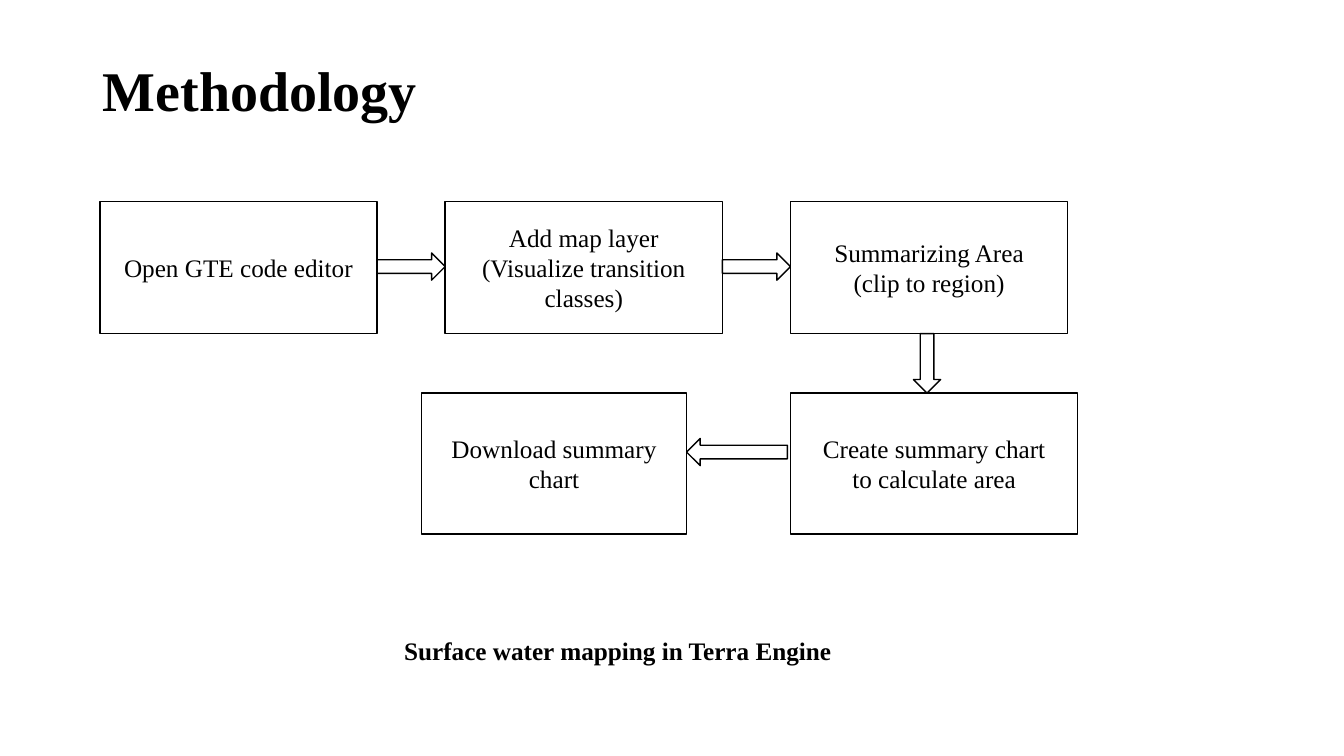
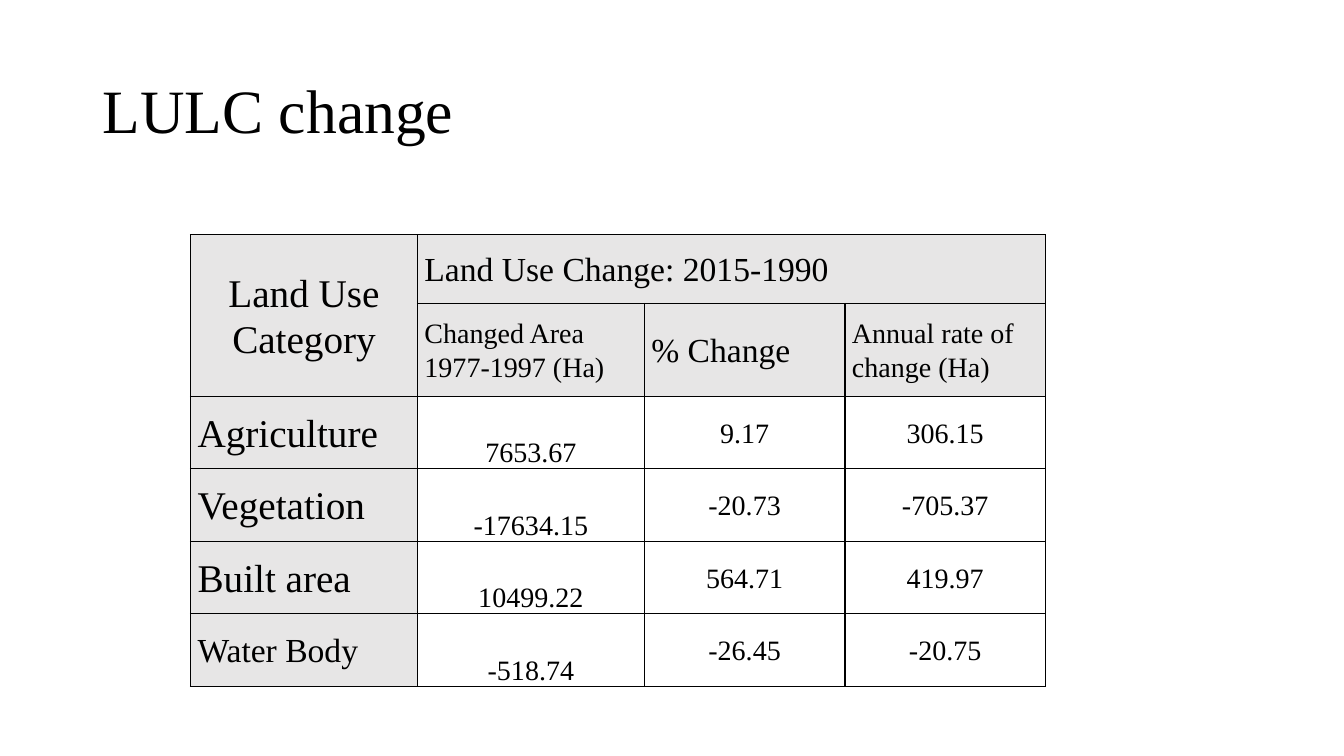
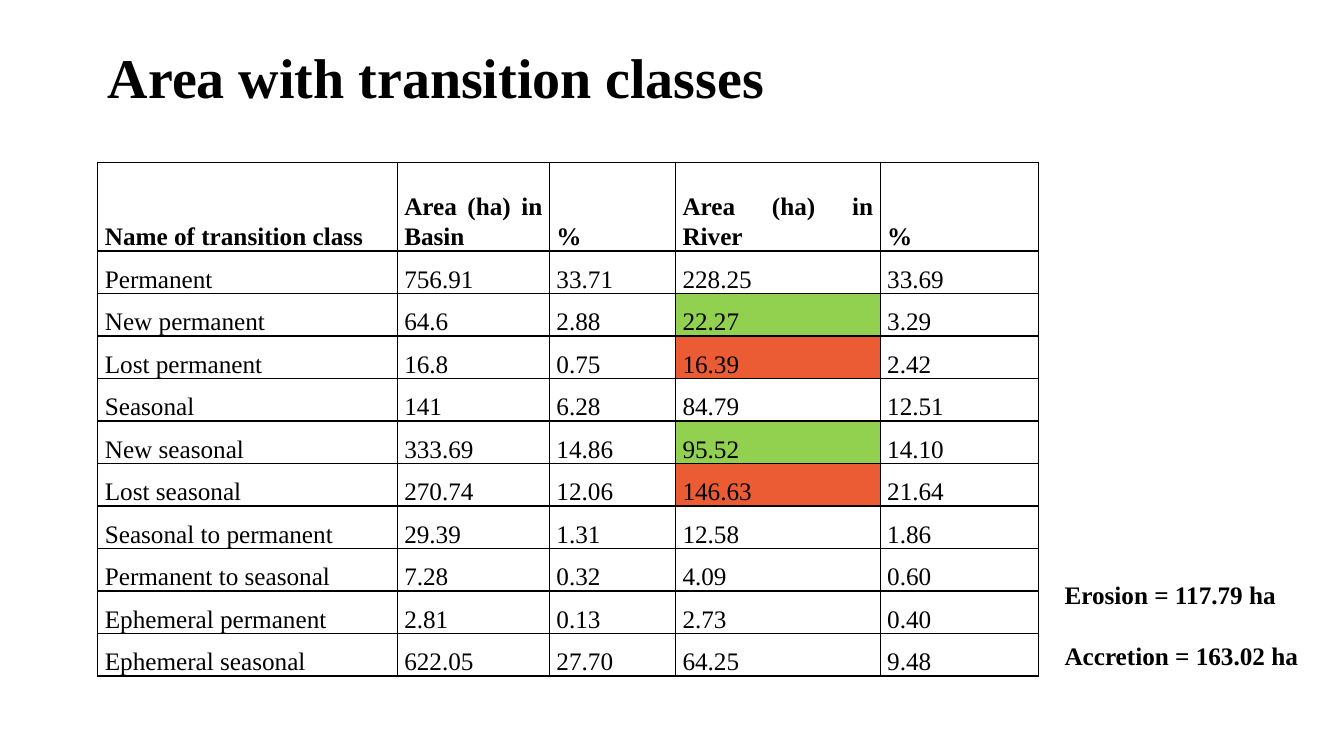
import pptx
import pptx.dml.color
import pptx.enum.shapes
import pptx.enum.text
import pptx.oxml
import pptx.oxml.ns
import pptx.util

PX = 9144
FONT = "Times New Roman"
BLACK, WHITE, GREY = "000000", "FFFFFF", "E7E6E6"
GREEN, ORANGE = "92D050", "EB5C35"
ALIGN = pptx.enum.text.PP_ALIGN
ANCHOR = pptx.enum.text.MSO_ANCHOR
SHAPE = pptx.enum.shapes.MSO_SHAPE
ARROW_WIDTH = 27


def px(*lengths):
    """Turn pixel lengths into EMU."""
    return [pptx.util.Emu(round(length * PX)) for length in lengths]


def color(hex_value):
    """Turn a hex string into a colour."""
    return pptx.dml.color.RGBColor.from_string(hex_value)


def set_values(target, values):
    """Set attributes of an object from a dict."""
    for name, value in values.items():
        setattr(target, name, value)


def write(frame, lines, size, bold=False, **para_values):
    """Fill a text frame with one paragraph per line."""
    for index, line in enumerate(lines):
        para = frame.paragraphs[0] if index == 0 else frame.add_paragraph()
        set_values(para, para_values)
        if index == 0:
            para.space_before = pptx.util.Pt(0)
        span = para.add_run()
        span.text = line
        set_values(span.font, {"name": FONT, "size": pptx.util.Pt(size), "bold": bold})
        span.font.color.rgb = color(BLACK)


def add_page(deck, title, bounds, size, bold):
    """Add a title-only page with its title in place."""
    page = deck.slides.add_slide(deck.slide_layouts[5])
    holder = page.shapes.title
    set_values(holder, dict(zip(("left", "top", "width", "height"), px(*bounds))))
    set_values(holder.text_frame, {
        "word_wrap": True,
        "vertical_anchor": ANCHOR.MIDDLE,
        "auto_size": pptx.enum.text.MSO_AUTO_SIZE.NONE,
    })
    write(holder.text_frame, [title], size, bold, alignment=ALIGN.LEFT, line_spacing=0.9)
    return page


def add_note(page, bounds, lines, gap=0):
    """Add a bold text box."""
    box = page.shapes.add_textbox(*px(*bounds))
    box.text_frame.word_wrap = True
    write(box.text_frame, lines, 18, True, space_before=pptx.util.Pt(gap))


def add_outlined(page, kind, bounds):
    """Add a white shape with a thin black outline."""
    shape = page.shapes.add_shape(kind, *px(*bounds))
    shape.shadow.inherit = False
    shape.fill.solid()
    shape.fill.fore_color.rgb = color(WHITE)
    shape.line.color.rgb = color(BLACK)
    shape.line.width = pptx.util.Pt(1)
    return shape


def add_step(page, bounds, lines):
    """Add a flowchart step with centred text."""
    frame = add_outlined(page, SHAPE.RECTANGLE, bounds).text_frame
    set_values(frame, {"word_wrap": True, "vertical_anchor": ANCHOR.MIDDLE})
    write(frame, lines, 18, alignment=ALIGN.CENTER)


def add_borders(cell):
    """Draw a thin black line on each side of a cell."""
    properties = cell._tc.get_or_add_tcPr()
    for side in "LRTB":
        properties.append(pptx.oxml.parse_xml(
            f'<a:ln{side} {pptx.oxml.ns.nsdecls("a")} w="12700"><a:solidFill>'
            f'<a:srgbClr val="{BLACK}"/></a:solidFill></a:ln{side}>'))


def add_grid(page, left, top, widths, heights, fill_of):
    """Add a bordered table whose cell fills follow a rule."""
    frame = page.shapes.add_table(
        len(heights), len(widths), *px(left, top, sum(widths), sum(heights)))
    table = frame.table
    set_values(table, {"first_row": False, "horz_banding": False})
    for column, width in zip(table.columns, px(*widths)):
        column.width = width
    for row, height in zip(table.rows, px(*heights)):
        row.height = height
    margins = dict(zip(("margin_left", "margin_top", "margin_right", "margin_bottom"),
                       px(7, 0, 7, 0)))
    for r in range(len(heights)):
        for c in range(len(widths)):
            cell = table.cell(r, c)
            set_values(cell, margins)
            add_borders(cell)
            fill = fill_of(r, c)
            if fill:
                cell.fill.solid()
                cell.fill.fore_color.rgb = color(fill)
            else:
                cell.fill.background()
    return table


def write_cell(cell, text, size, align, anchor, bold=False):
    """Write one table cell."""
    cell.vertical_anchor = anchor
    write(cell.text_frame, [text], size, bold, alignment=align, line_spacing=1.07)


def build_methodology(deck):
    """Build the flowchart page."""
    page = add_page(deck, "Methodology", (92, 40, 1150, 106), 40, True)
    add_note(page, (391, 625, 490, 40), ["Surface water mapping in Terra Engine"])
    first, width, pitch, top, height = 99, 275, 342.5, 200, 131
    upper_steps = [
        ["Open GTE code editor"],
        ["Add map layer", "(Visualize transition classes)"],
        ["Summarizing Area", "(clip to region)"],
    ]
    for index, lines in enumerate(upper_steps):
        left = first + index * pitch
        add_step(page, (left, top, width, height), lines)
        if index:
            add_outlined(page, SHAPE.RIGHT_ARROW,
                         (left - pitch + width, 251, pitch - width, ARROW_WIDTH))
    lower_top, lower_height = 390, 140
    add_step(page, (784, lower_top, 285, lower_height),
             ["Create summary chart", "to calculate area"])
    add_step(page, (418, lower_top, 263, lower_height), ["Download summary chart"])
    bottom = top + height
    add_outlined(page, SHAPE.DOWN_ARROW, (906, bottom, ARROW_WIDTH, lower_top - bottom))
    add_outlined(page, SHAPE.LEFT_ARROW, (681, 435, 100, ARROW_WIDTH))


def build_land_use(deck):
    """Build the land use change page."""
    page = add_page(deck, "LULC change", (92, 40, 1150, 145), 44, False)
    table = add_grid(page, 189, 233, [225, 225, 199, 199], [68, 92] + [72] * 4,
                     lambda r, c: GREY if r < 2 or c == 0 else None)
    table.cell(0, 0).merge(table.cell(1, 0))
    table.cell(0, 1).merge(table.cell(0, 3))
    headings = [
        (0, 0, "Land Use Category", 28, ALIGN.CENTER),
        (0, 1, "Land Use Change: 2015-1990", 24, ALIGN.JUSTIFY),
        (1, 1, "Changed Area 1977-1997 (Ha)", 20, ALIGN.LEFT),
        (1, 2, "% Change", 24, ALIGN.LEFT),
        (1, 3, "Annual rate of change (Ha)", 20, ALIGN.LEFT),
    ]
    for r, c, text, size, align in headings:
        write_cell(table.cell(r, c), text, size, align, ANCHOR.MIDDLE)
    changes = [
        ("Agriculture", 28, "7653.67", "9.17", "306.15"),
        ("Vegetation", 28, "-17634.15", "-20.73", "-705.37"),
        ("Built area", 28, "10499.22", "564.71", "419.97"),
        ("Water Body", 24, "-518.74", "-26.45", "-20.75"),
    ]
    for r, (category, size, *values) in enumerate(changes, 2):
        write_cell(table.cell(r, 0), category, size, ALIGN.JUSTIFY, ANCHOR.MIDDLE)
        for c, value in enumerate(values, 1):
            anchor = ANCHOR.BOTTOM if c == 1 else ANCHOR.MIDDLE
            write_cell(table.cell(r, c), value, 20, ALIGN.CENTER, anchor)


def build_transitions(deck):
    """Build the transition classes page."""
    page = add_page(deck, "Area with transition classes", (97, 40, 1145, 79), 40, True)
    rows = [
        ("Name of transition class", "Area (ha) in Basin", "%", "Area (ha) in River", "%"),
        ("Permanent", "756.91", "33.71", "228.25", "33.69"),
        ("New permanent", "64.6", "2.88", "22.27", "3.29"),
        ("Lost permanent", "16.8", "0.75", "16.39", "2.42"),
        ("Seasonal", "141", "6.28", "84.79", "12.51"),
        ("New seasonal", "333.69", "14.86", "95.52", "14.10"),
        ("Lost seasonal", "270.74", "12.06", "146.63", "21.64"),
        ("Seasonal to permanent", "29.39", "1.31", "12.58", "1.86"),
        ("Permanent to seasonal", "7.28", "0.32", "4.09", "0.60"),
        ("Ephemeral permanent", "2.81", "0.13", "2.73", "0.40"),
        ("Ephemeral seasonal", "622.05", "27.70", "64.25", "9.48"),
    ]
    river_fills = {"New": GREEN, "Lost": ORANGE}
    header_height, table_height = 88, 510
    body_count = len(rows) - 1
    row_height = (table_height - header_height) / body_count
    table = add_grid(page, 97, 161, [297, 151, 125, 203, 157],
                     [header_height] + [row_height] * body_count,
                     lambda r, c: river_fills.get(rows[r][0].split()[0]) if c == 3 else None)
    for r, row in enumerate(rows):
        for c, text in enumerate(row):
            align = ALIGN.LEFT if r and c == 0 else ALIGN.JUSTIFY
            write_cell(table.cell(r, c), text, 18, align, ANCHOR.BOTTOM, r == 0)
    add_note(page, (1046, 570, 256, 101),
             ["Erosion = 117.79 ha", "Accretion = 163.02 ha"], 22)


def main():
    """Build and save the deck."""
    deck = pptx.Presentation()
    deck.slide_width, deck.slide_height = px(1333, 750)
    build_methodology(deck)
    build_land_use(deck)
    build_transitions(deck)
    deck.save("out.pptx")


if __name__ == "__main__":
    main()
